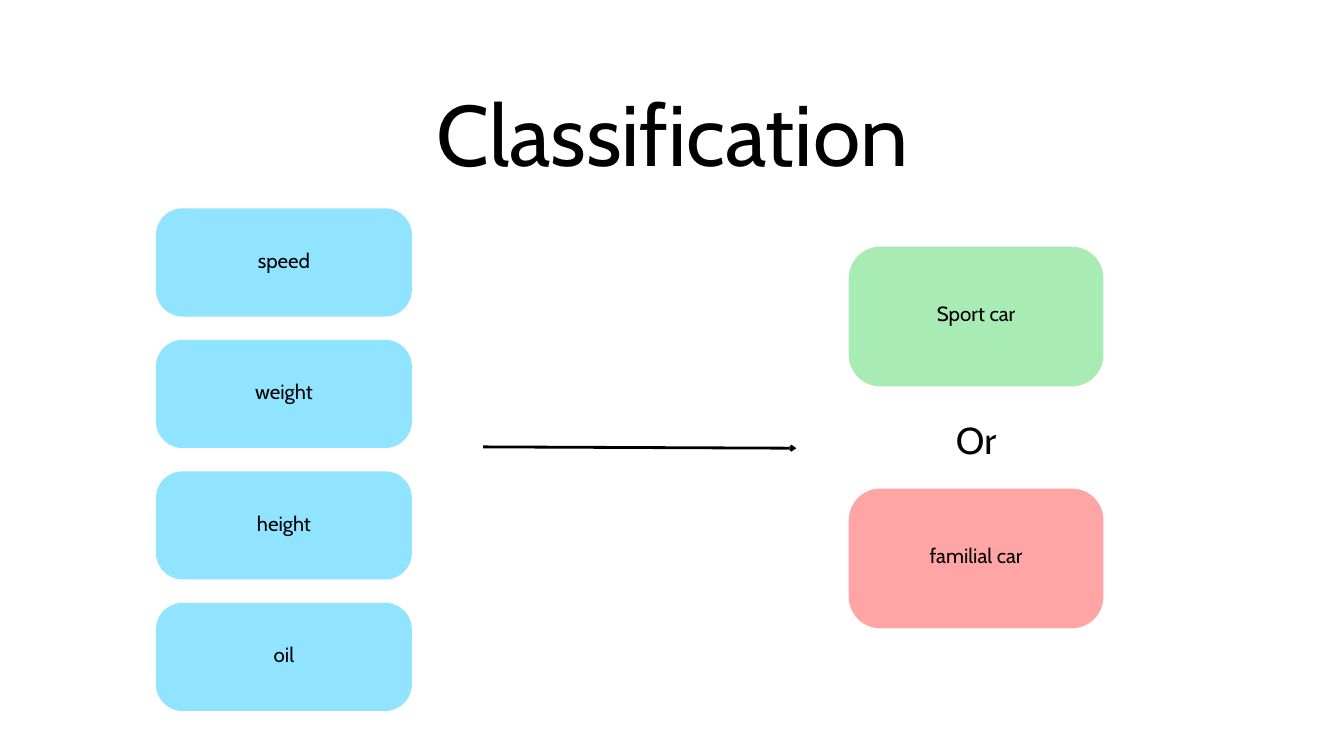
from lxml.etree import SubElement
from pptx import Presentation
from pptx.dml.color import RGBColor
from pptx.enum.shapes import MSO_CONNECTOR, MSO_SHAPE
from pptx.enum.text import MSO_ANCHOR, PP_ALIGN
from pptx.oxml.ns import qn
from pptx.util import Inches, Pt

BLACK = RGBColor(0x00, 0x00, 0x00)
BLUE = RGBColor(0x90, 0xE4, 0xFF)
GREEN = RGBColor(0xA9, 0xEB, 0xB5)
RED = RGBColor(0xFF, 0xA5, 0xA5)
FONT = "Cabin"
FEATURES = ["speed", "weight", "height", "oil"]


def write_text(frame, text, *, size, insets=(0, 0, 0, 0), anchor=MSO_ANCHOR.TOP):
    """Fill a text frame with one centred paragraph."""
    frame.word_wrap = True
    frame.vertical_anchor = anchor
    frame.margin_left, frame.margin_top, frame.margin_right, frame.margin_bottom = (
        Inches(inset) for inset in insets
    )
    paragraph = frame.paragraphs[0]
    paragraph.alignment = PP_ALIGN.CENTER
    paragraph.line_spacing = Pt(round(size * 1.4, 1))
    run = paragraph.add_run()
    run.text = text
    run.font.name = FONT
    run.font.size = Pt(size)
    run.font.color.rgb = BLACK


def add_label(slide, text, left, top, width, height, size):
    """Place free-standing text in the given box."""
    label = slide.shapes.add_textbox(
        Inches(left), Inches(top), Inches(width), Inches(height)
    )
    write_text(label.text_frame, text, size=size)


def add_card(slide, text, left, top, width, height, color, radius, lift):
    """Place a rounded card whose text sits slightly above its middle."""
    card = slide.shapes.add_shape(
        MSO_SHAPE.ROUNDED_RECTANGLE,
        Inches(left), Inches(top), Inches(width), Inches(height),
    )
    card.adjustments[0] = radius / height
    card.shadow.inherit = False
    card.fill.solid()
    card.fill.fore_color.rgb = color
    card.line.fill.background()
    write_text(
        card.text_frame, text, size=22,
        insets=(0.06, 0.06, 0.06, 0.06 + lift), anchor=MSO_ANCHOR.MIDDLE,
    )


def add_features(slide, left, top, width, height):
    """Stack the feature cards evenly in the given box."""
    card_height = 1.61
    pitch = (height - card_height) / (len(FEATURES) - 1)
    for index, feature in enumerate(FEATURES):
        add_card(slide, feature, left, top + index * pitch, width, card_height,
                 BLUE, radius=0.4, lift=0.13)


def add_outcomes(slide, left, top, width, height):
    """Place the two classes at the ends of the box with the word between."""
    card_height = 2.08
    add_card(slide, "Sport car", left, top, width, card_height,
             GREEN, radius=0.47, lift=0.15)
    add_label(slide, "Or", left + (width - 0.67) / 2, top + 2.42, 0.67, 0.75, size=40)
    add_card(slide, "familial car", left, top + height - card_height, width,
             card_height, RED, radius=0.47, lift=0.15)


def add_arrow(slide, left, top, width, height):
    """Draw the arrow from the features to the outcomes."""
    arrow = slide.shapes.add_connector(
        MSO_CONNECTOR.STRAIGHT,
        Inches(left), Inches(top), Inches(left + width), Inches(top + height),
    )
    arrow.line.color.rgb = BLACK
    arrow.line.width = Pt(3)
    SubElement(arrow.line._get_or_add_ln(), qn("a:tailEnd"), type="arrow",
               w="sm", len="sm")
    SubElement(arrow._element.spPr, qn("a:effectLst"))


def main():
    """Build the classification slide."""
    presentation = Presentation()
    presentation.slide_width = Inches(20)
    presentation.slide_height = Inches(11.25)
    slide = presentation.slides.add_slide(presentation.slide_layouts[6])
    add_label(slide, "Classification", 5.77, 0.94, 8.47, 1.71, size=92)
    add_features(slide, 2.32, 3.1, 3.81, 7.48)
    add_arrow(slide, 7.19, 6.65, 4.66, 0.02)
    add_outcomes(slide, 12.63, 3.67, 3.79, 5.68)
    presentation.save("out.pptx")


if __name__ == "__main__":
    main()
